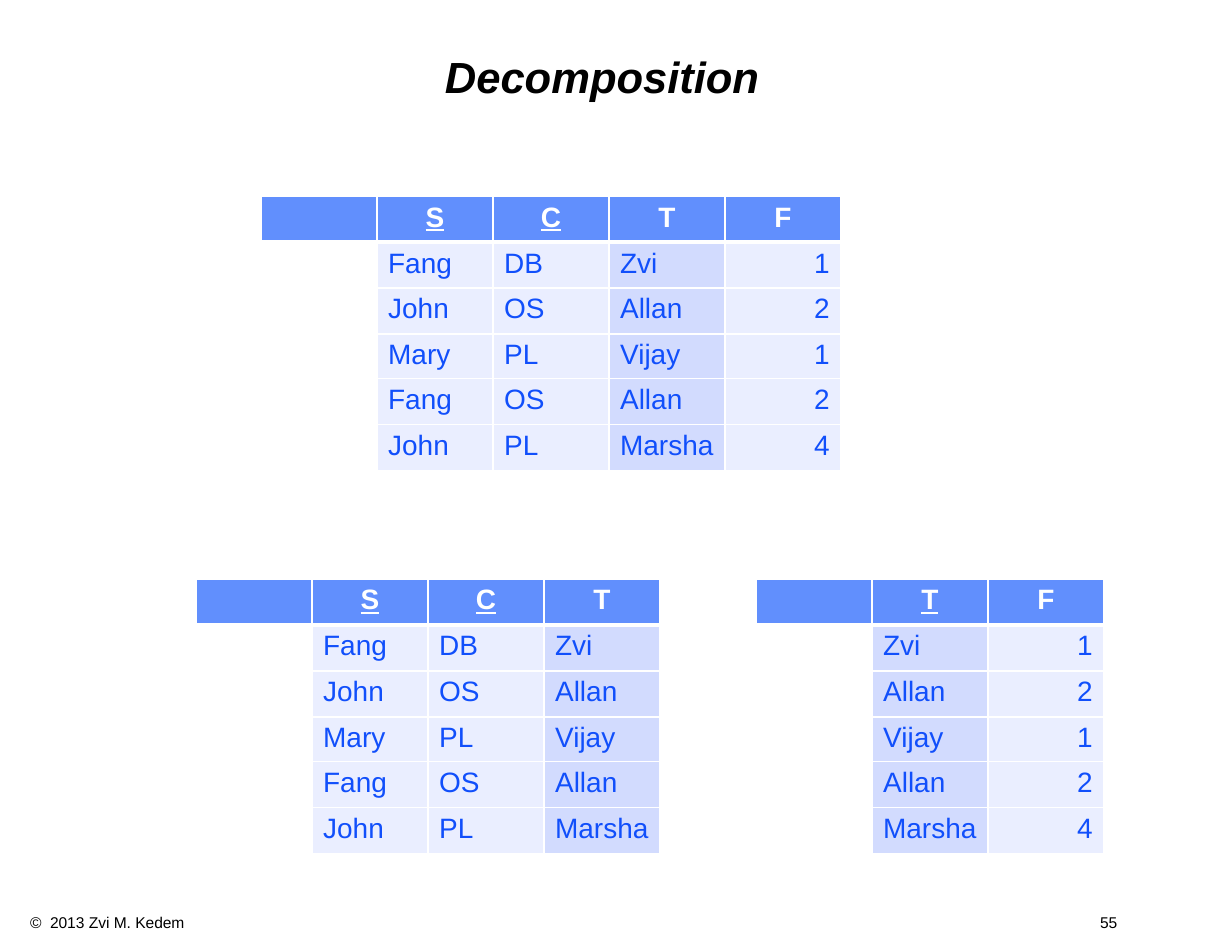
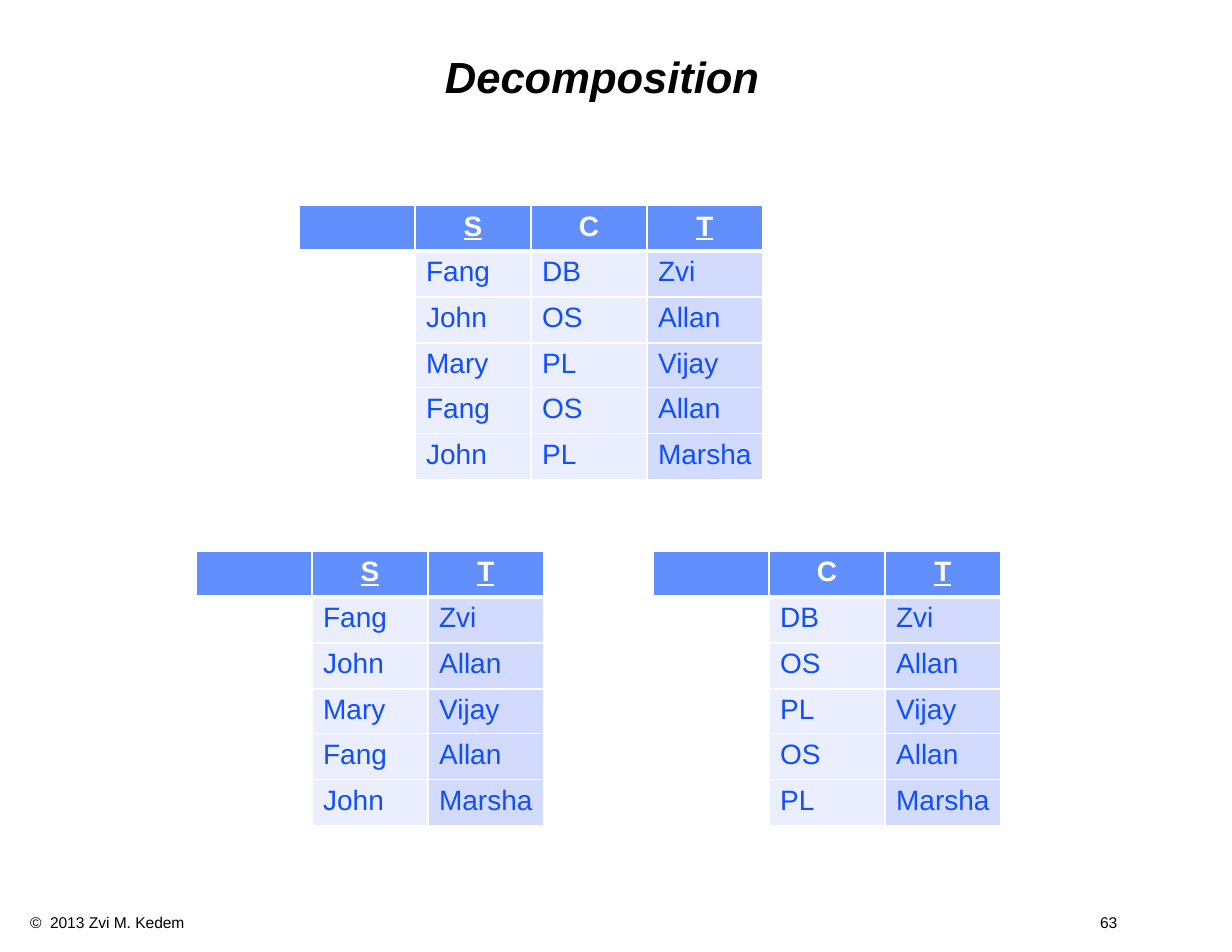
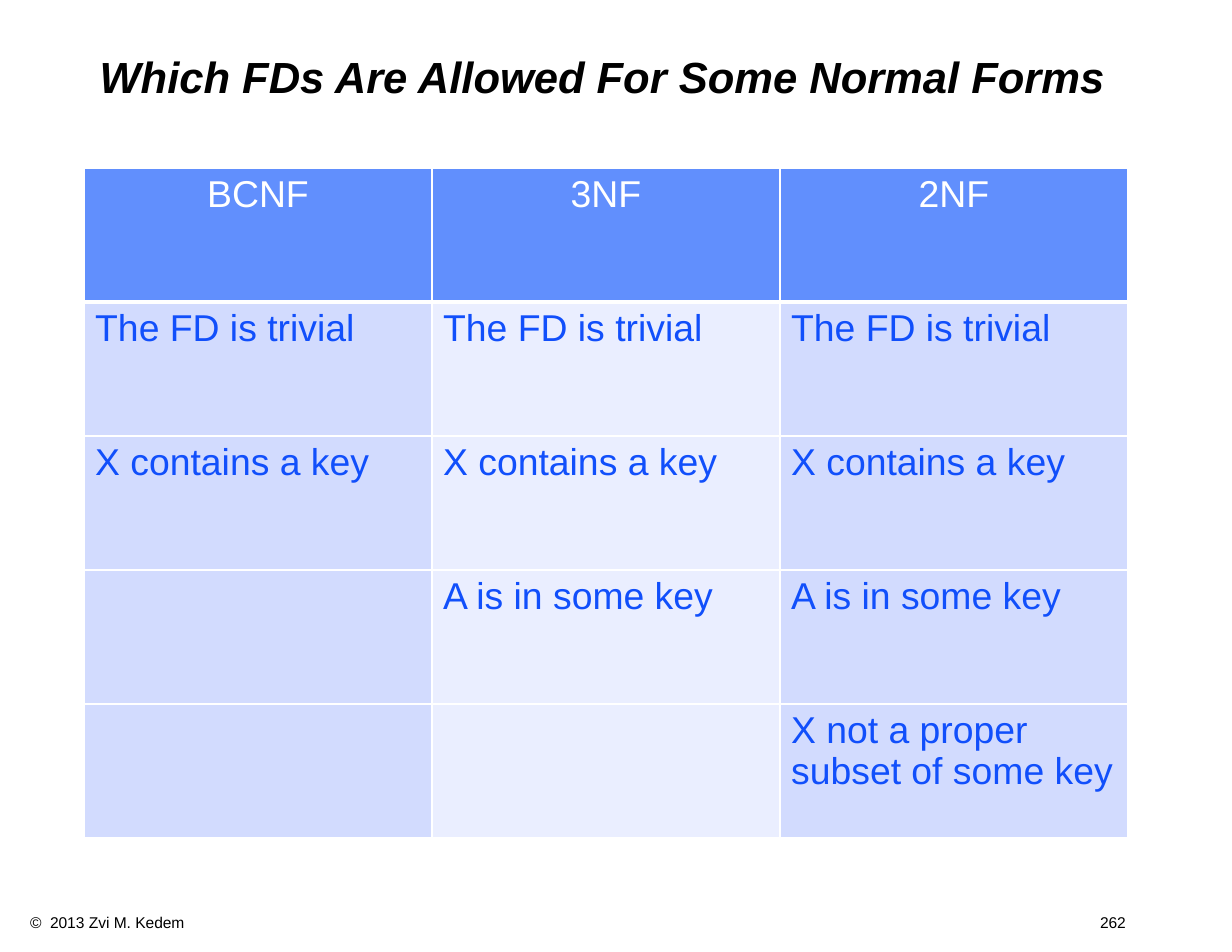
"""Build three slides on decomposition and normal forms."""
from dataclasses import dataclass

from lxml.etree import SubElement as Sub
from pptx import Presentation
from pptx.dml.color import RGBColor as Rgb
from pptx.enum.text import MSO_ANCHOR as Anchor, MSO_AUTO_SIZE as Fit, PP_ALIGN as Align
from pptx.oxml.ns import qn
from pptx.util import Emu, Pt


@dataclass(frozen=True)
class Theme:
    font: str = "Arial"
    black: str = "000000"
    white: str = "FFFFFF"
    head: str = "618FFD"
    dark: str = "D2DBFE"
    light: str = "EAEEFF"
    ink: str = "114FFB"
    title: int = 28
    large: int = 24
    body: int = 18
    foot: int = 10
    thin: int = 1
    thick: int = 3


LOOK = Theme()
SCALE = 914400 // 112
WIDE, HIGH = 1232, 952
OWNER = "©  2013 Zvi M. Kedem"

FACTS = [
    dict(S="Fang", C="DB", T="Zvi", F="1"),
    dict(S="John", C="OS", T="Allan", F="2"),
    dict(S="Mary", C="PL", T="Vijay", F="1"),
    dict(S="Fang", C="OS", T="Allan", F="2"),
    dict(S="John", C="PL", T="Marsha", F="4"),
]
SPLITS = [
    ("55", "Decomposition", [
        (261, 196, "SCTF", "SC"),
        (196, 579, "SCT", "SC"),
        (756, 579, "TF", "T"),
    ]),
    ("63", "Decomposition", [
        (299, 205, "SCT", "ST"),
        (196, 551, "ST", "ST"),
        (653, 551, "CT", "T"),
    ]),
]
FORMS = ("262", "Which FDs Are Allowed For Some Normal Forms", [
    ("BCNF", "3NF", "2NF"),
    ("The FD is trivial",) * 3,
    ("X contains a key",) * 3,
    ("", "A is in some key", "A is in some key"),
    ("", "", "X not a proper subset of some key"),
])
CELL, ROWS = 116, (46, 46, 46, 40, 46, 46)
FORM_X, FORM_Y, FORM_W, FORM_H = 84, 168, 348, 134


def px(*nums):
    """Turn pixels into EMU."""
    return [Emu(num * SCALE) for num in nums]


def write(para, text, size, color, bold=False, italic=False, under=False):
    """Add one styled run to a paragraph."""
    run = para.add_run()
    run.text = text
    font = run.font
    font.name, font.size = LOOK.font, Pt(size)
    font.bold, font.italic, font.underline = bold, italic, under
    font.color.rgb = Rgb.from_string(color)


def start(deck, title, page):
    """Add a slide with its title and footer."""
    slide = deck.slides.add_slide(deck.slide_layouts[5])
    box = slide.shapes.title
    box.left, box.top, box.width, box.height = px(84, 28, 1036, 103)
    frame = box.text_frame
    frame.auto_size, frame.word_wrap = Fit.NONE, True
    frame.vertical_anchor = Anchor.MIDDLE
    frame.margin_left, frame.margin_right = px(12, 12)
    frame.margin_top, frame.margin_bottom = px(7, 7)
    para = frame.paragraphs[0]
    para.alignment, para.line_spacing = Align.CENTER, 0.9
    write(para, title, LOOK.title, LOOK.black, bold=True, italic=True)

    foot = slide.shapes.add_textbox(*px(19, 907, 1158, 30)).text_frame
    foot.word_wrap = True
    para = foot.paragraphs[0]
    tabs = Sub(para._p.get_or_add_pPr(), qn("a:tabLst"))
    Sub(tabs, qn("a:tab"), pos=str(1070 * SCALE), algn="l")
    write(para, f"{OWNER}\t{page}", LOOK.foot, LOOK.black)
    return slide


def edge(cell, top, low):
    """Draw the four white borders of a cell."""
    props = cell._tc.get_or_add_tcPr()
    for side, width in zip("LRTB", (LOOK.thin, LOOK.thin, top, low)):
        line = Sub(props, qn(f"a:ln{side}"), w=str(Pt(width)))
        Sub(Sub(line, qn("a:solidFill")), qn("a:srgbClr"), val=LOOK.white)


def grid(slide, x, y, cols, rows):
    """Add a table with the given column widths and row heights."""
    area = px(x, y, sum(cols), sum(rows))
    table = slide.shapes.add_table(len(rows), len(cols), *area).table
    table.horz_banding = False
    for col, width in zip(table.columns, px(*cols)):
        col.width = width
    for row, height in zip(table.rows, px(*rows)):
        row.height = height
    return table


def fill(cell, text, back, size, head=False, align=Align.LEFT, top=LOOK.thin, **style):
    """Set the borders, fill and text of a cell."""
    edge(cell, top, LOOK.thick if head else LOOK.thin)
    cell.fill.solid()
    cell.fill.fore_color.rgb = Rgb.from_string(LOOK.head if head else back)
    if text:
        para = cell.text_frame.paragraphs[0]
        para.alignment = Align.CENTER if head else align
        write(para, text, size, LOOK.white if head else LOOK.ink, **style)


def relate(slide, x, y, names, keys):
    """Show the facts under the named columns, with the keys underlined."""
    table = grid(slide, x, y, [CELL] * (len(names) + 1), ROWS)
    for r in range(len(ROWS)):
        head = r == 0
        top = LOOK.thick if r == 1 else LOOK.thin
        fill(table.cell(r, 0), "", LOOK.white, LOOK.body, head, top=top)
        for c, name in enumerate(names, 1):
            fill(table.cell(r, c), name if head else FACTS[r - 1][name],
                 LOOK.dark if name == "T" else LOOK.light, LOOK.body, head,
                 Align.RIGHT if name == "F" else Align.LEFT, top,
                 bold=head, under=head and name in keys)


def compare(slide, lines):
    """Show the normal forms side by side."""
    table = grid(slide, FORM_X, FORM_Y, [FORM_W] * len(lines[0]), [FORM_H] * len(lines))
    for r, line in enumerate(lines):
        for c, text in enumerate(line):
            back = LOOK.light if c % 2 else LOOK.dark
            fill(table.cell(r, c), text, back, LOOK.large, r == 0)


def main():
    """Build and save the deck."""
    deck = Presentation()
    deck.slide_width, deck.slide_height = px(WIDE, HIGH)
    for page, title, tables in SPLITS:
        slide = start(deck, title, page)
        for spot in tables:
            relate(slide, *spot)
    page, title, lines = FORMS
    compare(start(deck, title, page), lines)
    deck.save("out.pptx")


if __name__ == "__main__":
    main()
